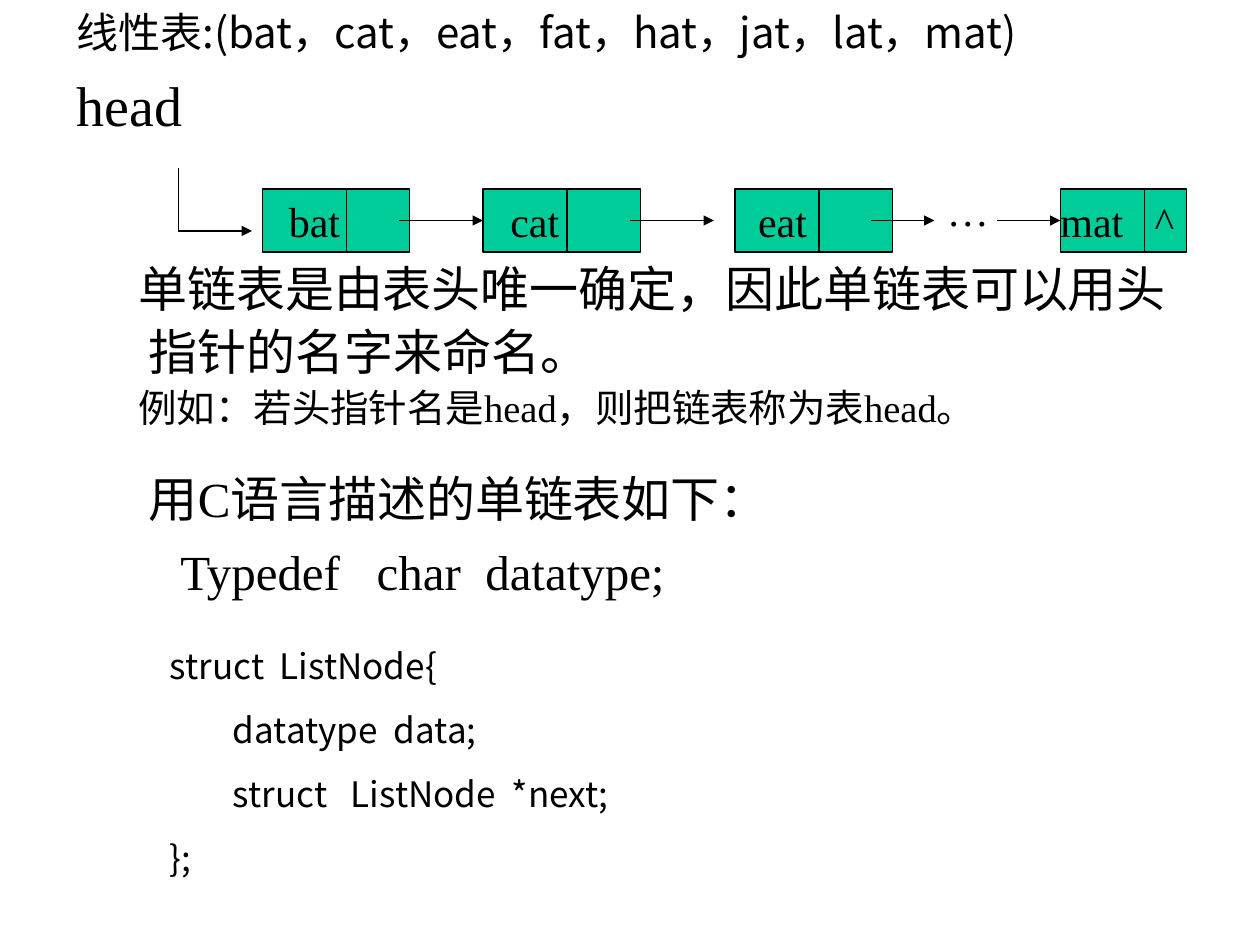
from lxml import etree
from pptx import Presentation
from pptx.dml.color import RGBColor
from pptx.enum import shapes, text
from pptx.oxml.ns import qn
from pptx.util import Inches, Pt

COLORS = {"ink": "000000", "node": "00CC99"}
SANS, SERIF = "Noto Sans CJK SC", "Times New Roman"

deck = Presentation()
deck.slide_width, deck.slide_height = Inches(10), Inches(7.5)
page = deck.slides.add_slide(deck.slide_layouts[6])
col, row = deck.slide_width / 120, deck.slide_height / 90


def write(box, content, size=28, font=SERIF, before=0, indent=0, hanging=0):
    frame = box.text_frame
    frame.word_wrap = True
    para = frame.paragraphs[0] if not frame.text else frame.add_paragraph()
    para.alignment = text.PP_ALIGN.LEFT
    para.space_before = Pt(before)
    properties = para._p.get_or_add_pPr()
    properties.set("marL", str(Inches(indent)))
    properties.set("indent", str(Inches(-hanging)))
    span = para.add_run()
    span.text = content
    span.font.size = Pt(size)
    span.font.name = font
    span.font.color.rgb = RGBColor.from_string(COLORS["ink"])
    etree.SubElement(span._r.get_or_add_rPr(), qn("a:ea"), typeface=SANS)


def draw_line(x1, y1, x2, y2, arrow=False):
    line = page.shapes.add_connector(
        shapes.MSO_CONNECTOR.STRAIGHT, int(x1 * col), int(y1 * row), int(x2 * col), int(y2 * row))
    line.line.color.rgb = RGBColor.from_string(COLORS["ink"])
    line.line.width = Pt(0.75)
    if arrow:
        etree.SubElement(line.line._get_or_add_ln(), qn("a:tailEnd"), type="triangle")
    etree.SubElement(line._element.spPr, qn("a:effectLst"))
    return line


intro = page.shapes.add_textbox(int(6.1 * col), 0, int(105.7 * col), int(82.7 * row))
write(intro, "线性表:(bat，cat，eat，fat，hat，jat，lat，mat)", size=24, font=SANS, indent=0.38, hanging=0.38)
write(intro, "head", size=32, before=8, indent=0.38, hanging=0.38)

node_top, node_rows, data_cols = 18, 6, 8
node_middle = node_top + node_rows / 2
nodes = {}
for label, left, width, inset in [
    ("bat", 25, 14, 2.5), ("cat", 46, 15, 2.6), ("eat", 70, 15, 2.2), ("mat", 101, 12, 0),
]:
    node = page.shapes.add_shape(
        shapes.MSO_SHAPE.RECTANGLE, int(left * col), int(node_top * row), int(width * col), int(node_rows * row))
    node.shadow.inherit = False
    node.fill.solid()
    node.fill.fore_color.rgb = RGBColor.from_string(COLORS["node"])
    node.line.color.rgb = RGBColor.from_string(COLORS["ink"])
    node.line.width = Pt(0.75)
    node.text_frame.margin_left = int(inset * col)
    node.text_frame.margin_right = 0
    node.text_frame.vertical_anchor = text.MSO_ANCHOR.MIDDLE
    write(node, label, size=24)
    draw_line(left + data_cols, node_top, left + data_cols, node_top + node_rows)
    nodes[label] = node

draw_line(17, 16, 17, 22)
draw_line(17, 22, 24, 22, arrow=True)
for start, end, target in [(38, 46, "cat"), (60, 68, None), (83, 89, None), (95, 101, "mat")]:
    pointer = draw_line(start, node_middle, end, node_middle, arrow=True)
    if target:
        pointer.end_connect(nodes[target], 1)

for content, left, top, width, size in [
    ("^", 108.8, node_top, 5, 24),
    ("…", 89, 17, 6.5, 24),
    ("单链表是由表头唯一确定，因此单链表可以用头", 12, 24, 101, 28),
    ("指针的名字来命名。", 13, 30, 96, 28),
    ("例如：若头指针名是head，则把链表称为表head。", 12, 36, 108, 22),
    ("用C语言描述的单链表如下：", 13, 44, 100, 28),
    ("Typedef   char  datatype;", 16, 51, 94, 28),
]:
    box = page.shapes.add_textbox(int(left * col), int(top * row), int(width * col), int(6 * row))
    write(box, content, size=size)

code = page.shapes.add_textbox(int(15 * col), int(60.8 * row), int(79 * col), int(29 * row))
for content, indent in [
    ("struct  ListNode{", 0), ("datatype  data;", 0.5), ("struct   ListNode  *next;", 0.5), ("};", 0),
]:
    write(code, content, size=20, font=SANS, before=12.5, indent=indent)

deck.save("out.pptx")
